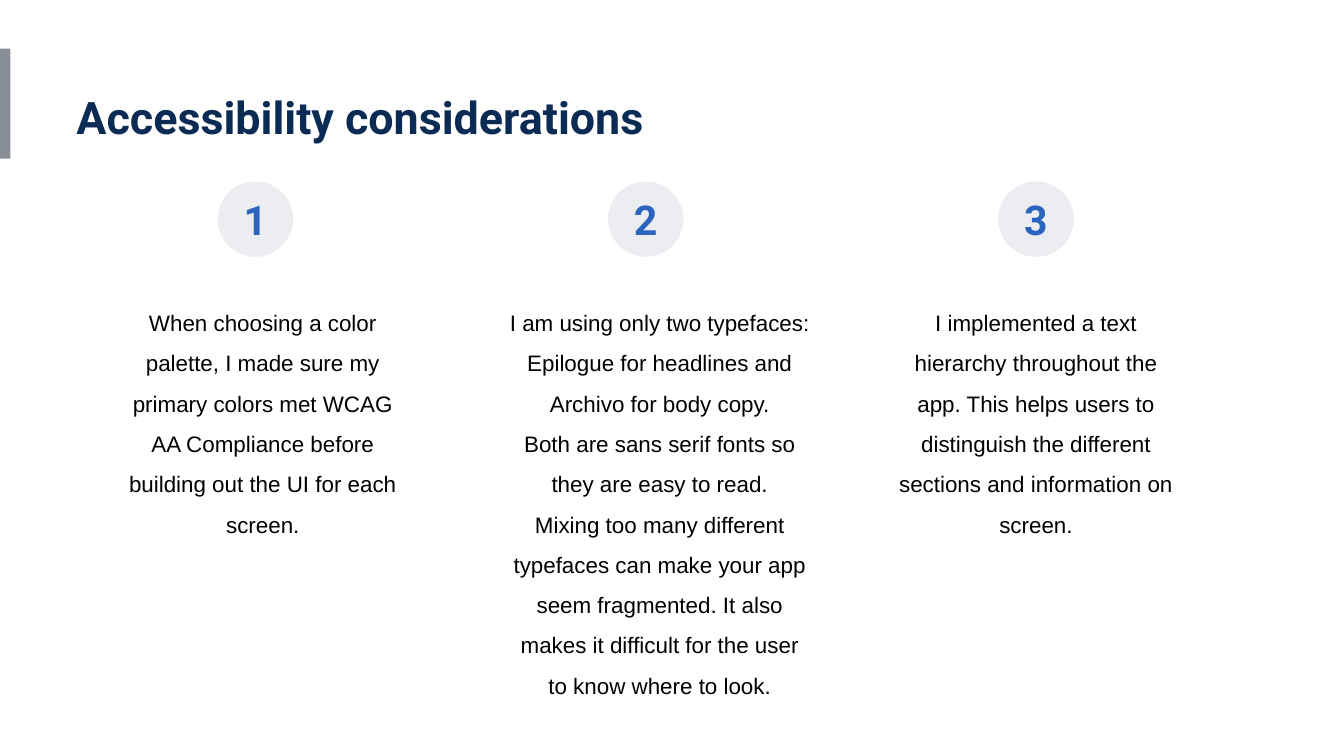
from pptx import Presentation
from pptx.dml.color import RGBColor
from pptx.enum.shapes import MSO_SHAPE
from pptx.enum.text import MSO_ANCHOR, PP_ALIGN
from pptx.util import Pt

RECT, OVAL = MSO_SHAPE.RECTANGLE, MSO_SHAPE.OVAL
CENTER, MIDDLE = PP_ALIGN.CENTER, MSO_ANCHOR.MIDDLE

GREY = RGBColor(0x88, 0x8E, 0x96)
NAVY = RGBColor(0x0A, 0x2B, 0x53)
BLUE = RGBColor(0x2B, 0x64, 0xBE)
PALE = RGBColor(0xEB, 0xED, 0xF0)
BLACK = RGBColor(0x00, 0x00, 0x00)

COLUMN_LEFT, COLUMN_TOP, COLUMN_PITCH = 56.2, 97.2, 209.1
CIRCLE_OFFSET, CIRCLE_SIZE, BODY_OFFSET = 60.4, 40.4, 54

COLUMNS = [
    (169.2, 138.2, [
        "When choosing a color palette, I made sure my primary colors met WCAG "
        "AA Compliance before building out the UI for each screen.",
    ]),
    (176.4, 225.4, [
        "I am using only two typefaces: Epilogue for headlines and Archivo for body copy.",
        "Both are sans serif fonts so they are easy to read.",
        "Mixing too many different typefaces can make your app seem fragmented. "
        "It also makes it difficult for the user to know where to look.",
    ]),
    (161.3, 138.2, [
        "I implemented a text hierarchy throughout the app. This helps users to "
        "distinguish the different sections and information on screen.",
    ]),
]


def set_margins(tf, left, rest):
    """Set the inner margins of a text frame and let it wrap."""
    tf.word_wrap = True
    tf.margin_left = Pt(left)
    tf.margin_top = tf.margin_right = tf.margin_bottom = Pt(rest)


def format_runs(p, name, size, color, bold=False):
    """Format every run of a paragraph."""
    for r in p.runs:
        r.font.name = name
        r.font.size = Pt(size)
        r.font.bold = bold
        r.font.color.rgb = color


def add_plain_shape(s, kind, x, y, w, h, fill):
    """Add a filled shape without line or shadow."""
    sp = s.shapes.add_shape(kind, Pt(x), Pt(y), Pt(w), Pt(h))
    sp.shadow.inherit = False
    sp.fill.solid()
    sp.fill.fore_color.rgb = fill
    sp.line.fill.background()
    return sp


def add_title(s, x, y, w, h, text):
    """Add the slide title."""
    tf = s.shapes.add_textbox(Pt(x), Pt(y), Pt(w), Pt(h)).text_frame
    set_margins(tf, 0, 7.2)
    tf.text = text
    format_runs(tf.paragraphs[0], "Roboto", 24, NAVY, True)


def add_column(s, x, y, w, body_h, number, texts):
    """Add a numbered circle with its centred body text below."""
    sp = add_plain_shape(s, OVAL, x + CIRCLE_OFFSET, y, CIRCLE_SIZE, CIRCLE_SIZE, PALE)
    tf = sp.text_frame
    set_margins(tf, 0, 0)
    tf.vertical_anchor = MIDDLE
    tf.text = str(number)
    p = tf.paragraphs[0]
    p.alignment = CENTER
    format_runs(p, "Roboto", 22, BLUE, True)

    tf = s.shapes.add_textbox(Pt(x), Pt(y + BODY_OFFSET), Pt(w), Pt(body_h)).text_frame
    set_margins(tf, 7.2, 7.2)
    tf.text = "\n".join(texts)
    for p in tf.paragraphs:
        p.alignment = CENTER
        p.line_spacing = 1.5
        format_runs(p, "Arial", 12, BLACK)


def main():
    """Build the slide and save it."""
    prs = Presentation()
    prs.slide_width, prs.slide_height = Pt(720), Pt(405)
    s = prs.slides.add_slide(prs.slide_layouts[6])
    add_plain_shape(s, RECT, 0, 26, 5.6, 59, GREY)
    add_title(s, 41, 41, 551.5, 44, "Accessibility considerations")
    for i, (w, body_h, texts) in enumerate(COLUMNS):
        add_column(s, COLUMN_LEFT + i * COLUMN_PITCH, COLUMN_TOP, w, body_h, i + 1, texts)
    prs.save("out.pptx")


if __name__ == "__main__":
    main()
